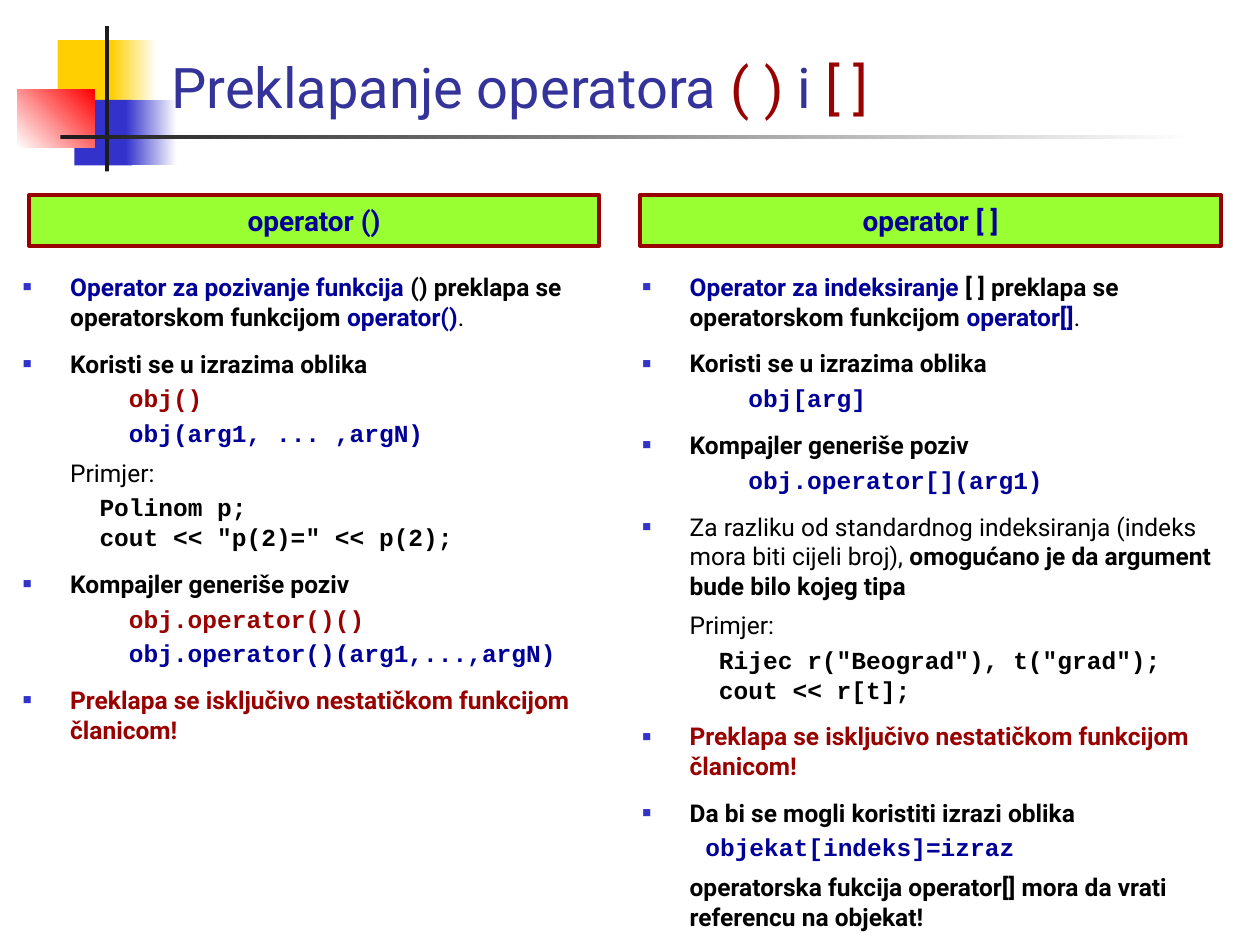
from pptx import Presentation, util as u
from pptx.dml import color
from pptx.enum import shapes, text
from pptx.oxml import xmlchemy, ns
from lxml import etree

Pt = u.Pt
NAVY, RED, BLACK, WHITE = "000099", "990000", "000000", "FFFFFF"
GOLD, BLUE, INK = "FFCF01", "3333CC", "1C1C1C"
SANS, MONO = "Roboto", "Courier New"

# Decoration: left, top, width, height, first colour, second colour, angle
DECORATION = [
    (33, 23, 34.5, 37.5, GOLD, None, 0),
    (63.5, 23, 26, 37.5, GOLD, WHITE, 0),
    (42.5, 57, 33, 37.5, BLUE, None, 0),
    (72, 57, 29, 37.5, BLUE, WHITE, 0),
    (10, 51, 44, 33.5, WHITE, "FF0000", 45),
    (60, 15, 2.25, 83, INK, None, 0),
    (34.5, 77, 648, 2.25, INK, WHITE, 0),
]

TITLE = [("Preklapanje operatora ", "333399"), ("( ) ", RED), ("i", "333399"), (" [ ]", RED)]

# Paragraph kinds: font, left margin, space before, space after, bullet
KINDS = {
    "first": (SANS, 27, 0, 0, True),
    "point": (SANS, 27, 10, 0, True),
    "label": (SANS, 27, 6, 0, False),
    "closing": (SANS, 27, 3, 0, False),
    "form": (MONO, 60.6, 3, 0, False),
    "example": (MONO, 43.8, 3, 0, False),
    "example next": (MONO, 43.8, 0, 0, False),
    "assignment": (MONO, 36, 3, 3, False),
}

# Runs: text, colour, and False where the text is not bold
USAGE = ("point", [("Koristi se u izrazima oblika", BLACK)])
CALL = ("point", [("Kompajler generiše poziv", BLACK)])
EXAMPLE = ("label", [("Primjer:", BLACK, False)])
MEMBER_ONLY = ("point", [("Preklapa se isključivo nestatičkom funkcijom članicom!", RED)])

COLUMNS = [
    {
        "heading": "operator ()",
        "heading_box": (16.5, 111.6, 326, 28.8),
        "body_box": (6, 152, 340.5, 276),
        "body": [
            ("first", [("Operator za pozivanje funkcija ", NAVY),
                       ("() preklapa se operatorskom funkcijom ", BLACK),
                       ("operator()", NAVY), (".", BLACK, False)]),
            USAGE,
            ("form", [("obj()", RED)]),
            ("form", [("obj(arg1, ... ,argN)", NAVY)]),
            EXAMPLE,
            ("example", [("Polinom p;", BLACK)]),
            ("example next", [('cout << "p(2)=" << p(2);', BLACK)]),
            CALL,
            ("form", [("obj.operator()()", RED)]),
            ("form", [("obj.operator()(arg1,...,argN)", NAVY)]),
            MEMBER_ONLY,
        ],
    },
    {
        "heading": "operator [ ]",
        "heading_box": (365.75, 111.6, 332, 28.8),
        "body_box": (360, 152, 354, 371.5),
        "body": [
            ("first", [("Operator za indeksiranje ", NAVY),
                       ("[ ] preklapa se operatorskom funkcijom ", BLACK),
                       ("operator[]", NAVY), (".", BLACK, False)]),
            USAGE,
            ("form", [("obj[arg]", NAVY)]),
            CALL,
            ("form", [("obj.operator[](arg1)", NAVY)]),
            ("point", [("Za razliku od standardnog indeksiranja (indeks mora biti "
                        "cijeli broj), ", BLACK, False),
                       ("omogućano je da argument bude bilo kojeg tipa", BLACK)]),
            EXAMPLE,
            ("example", [('Rijec r("Beograd"), t("grad");', BLACK)]),
            ("example next", [("cout << r[t];", BLACK)]),
            MEMBER_ONLY,
            ("point", [("Da bi se mogli koristiti izrazi oblika", BLACK)]),
            ("assignment", [("objekat[indeks]=izraz", NAVY)]),
            ("closing", [("operatorska fukcija operator[] mora da vrati "
                          "referencu na objekat!", BLACK)]),
        ],
    },
]


def rgb(code):
    return color.RGBColor.from_string(code)


def add_rect(slide, box, first, second=None, angle=0, line=None):
    rect = slide.shapes.add_shape(shapes.MSO_SHAPE.RECTANGLE, *map(Pt, box))
    rect.shadow.inherit = False
    if second:
        rect.fill.gradient()
        rect.fill.gradient_angle = angle
        for stop, code, position in zip(rect.fill.gradient_stops, (first, second), (0, 1)):
            stop.color.rgb = rgb(code)
            stop.position = position
    else:
        rect.fill.solid()
        rect.fill.fore_color.rgb = rgb(first)
    if line:
        rect.line.color.rgb = rgb(line)
        rect.line.width = Pt(2.25)
    else:
        rect.line.fill.background()
    return rect


def add_text_box(slide, box, anchor):
    frame = slide.shapes.add_textbox(*map(Pt, box)).text_frame
    frame.word_wrap = True
    frame.vertical_anchor = anchor
    return frame


def add_bullet(paragraph):
    properties = paragraph._p.get_or_add_pPr()
    properties.set("indent", str(Pt(-27)))
    marker = etree.SubElement(properties, ns.qn("a:buClr"))
    etree.SubElement(marker, ns.qn("a:srgbClr"), val=BLUE)
    etree.SubElement(properties, ns.qn("a:buSzPct"), val="60000")
    etree.SubElement(properties, ns.qn("a:buFont"), typeface="Arial")
    etree.SubElement(properties, ns.qn("a:buChar"), char="■")


def write(paragraph, words, size=14, font=SANS, code=BLACK, bold=True):
    run = paragraph.add_run()
    run.text = words
    run.font.size = Pt(size)
    run.font.name = font
    run.font.bold = bold
    run.font.color.rgb = rgb(code)


def fill_body(frame, body):
    for number, (kind, runs) in enumerate(body):
        paragraph = frame.add_paragraph() if number else frame.paragraphs[0]
        font, margin, before, after, bullet = KINDS[kind]
        paragraph.space_before, paragraph.space_after = Pt(before), Pt(after)
        paragraph._p.get_or_add_pPr().set("marL", str(Pt(margin)))
        if bullet:
            add_bullet(paragraph)
        for words, code, *weight in runs:
            write(paragraph, words, font=font, code=code, bold=not weight)


def main():
    deck = Presentation()
    deck.slide_width, deck.slide_height = Pt(720), Pt(540)
    slide = deck.slides.add_slide(deck.slide_layouts[6])

    # Decoration and title
    for *box, first, second, angle in DECORATION:
        add_rect(slide, box, first, second, angle)
    title = add_text_box(slide, (90.75, 9.4, 629.25, 62.6), text.MSO_ANCHOR.BOTTOM)
    for words, code in TITLE:
        write(title.paragraphs[0], words, size=32, code=code, bold=False)

    # Two columns, each a heading over a list
    for column in COLUMNS:
        heading = add_rect(slide, column["heading_box"], "99FF33", line=RED).text_frame
        heading.vertical_anchor = text.MSO_ANCHOR.MIDDLE
        heading.paragraphs[0].alignment = text.PP_ALIGN.CENTER
        write(heading.paragraphs[0], column["heading"], size=16, code=NAVY)
        frame = add_text_box(slide, column["body_box"], text.MSO_ANCHOR.TOP)
        fill_body(frame, column["body"])

    deck.save("out.pptx")


if __name__ == "__main__":
    main()
